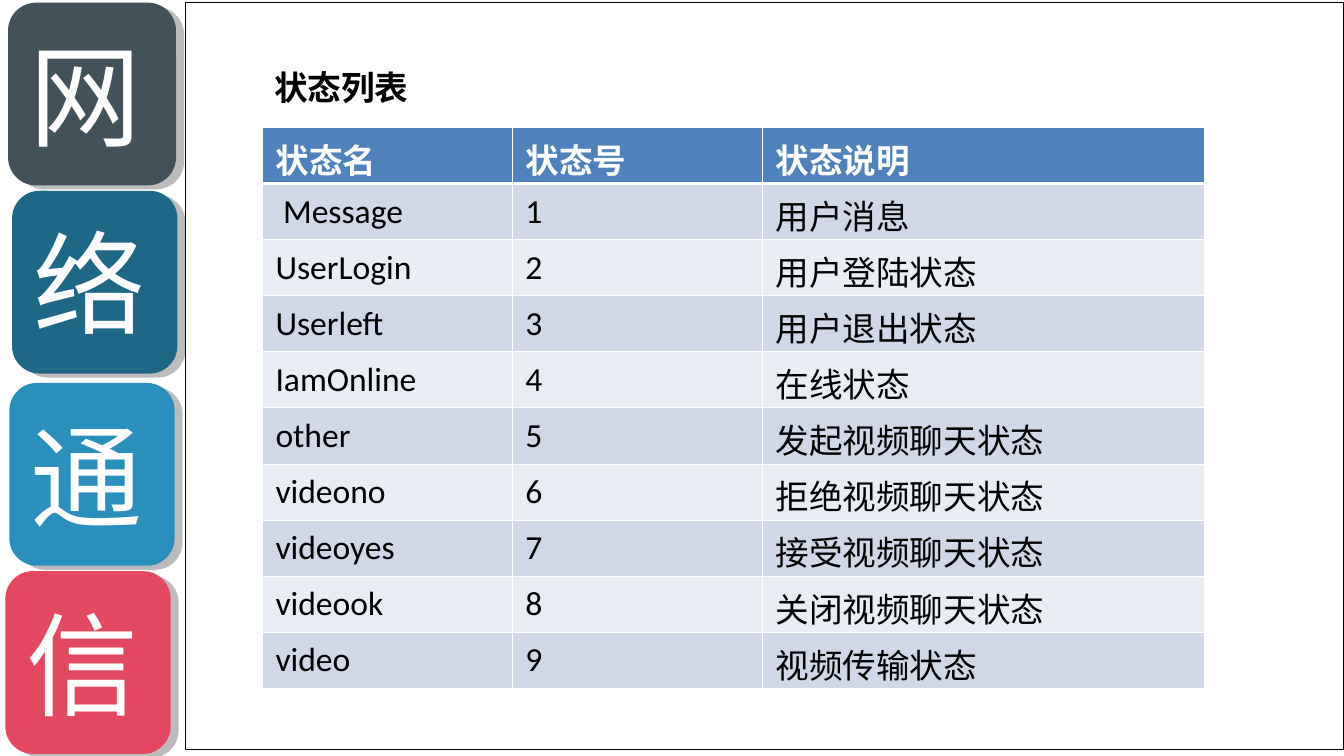
"""Build the slide that lists the network communication states."""
from lxml import etree
from pptx import Presentation
from pptx import util as u
from pptx.dml.color import RGBColor
from pptx.enum import shapes, text
from pptx.oxml.ns import qn

WHITE = RGBColor(0xFF, 0xFF, 0xFF)
BLACK = RGBColor(0, 0, 0)
SHADOW = RGBColor(0xBC, 0xBC, 0xBC)
HEADER = RGBColor(0x4F, 0x81, 0xBD)
BANDS = (RGBColor(0xE9, 0xED, 0xF4), RGBColor(0xD0, 0xD8, 0xE8))

TITLE = "状态列表"
BLOCKS = [
    ("网", 0.06, 0.02, 1.25, RGBColor(0x43, 0x52, 0x58)),
    ("络", 0.09, 1.42, 1.23, RGBColor(0x1E, 0x67, 0x87)),
    ("通", 0.07, 2.85, 1.23, RGBColor(0x2A, 0x8F, 0xBD)),
    ("信", 0.04, 4.25, 1.23, RGBColor(0xE4, 0x48, 0x60)),
]
ROWS = [
    ("状态名", "状态号", "状态说明"),
    (" Message", "1", "用户消息"),
    ("UserLogin", "2", "用户登陆状态"),
    ("Userleft", "3", "用户退出状态"),
    ("IamOnline", "4", "在线状态"),
    ("other", "5", "发起视频聊天状态"),
    ("videono", "6", "拒绝视频聊天状态"),
    ("videoyes", "7", "接受视频聊天状态"),
    ("videook", "8", "关闭视频聊天状态"),
    ("video", "9", "视频传输状态"),
]
COLUMNS = (1.86, 1.86, 3.29)
SLIDE_WIDTH = 10
TABLE_HEIGHT = 4.17
BLOCK_HEIGHT = 1.36
SHADOW_DX, SHADOW_DY = 0.06, 0.03


def inches(*values):
    return [u.Inches(v) for v in values]


def add_text(tf, words, size, font, color, bold=False):
    p = tf.paragraphs[0]
    p.alignment = text.PP_ALIGN.LEFT
    r = p.add_run()
    r.text = words
    r.font.size, r.font.name, r.font.bold = u.Pt(size), font, bold
    r.font.color.rgb = color
    return r


def add_box(slide, kind, box, fill):
    sp = slide.shapes.add_shape(kind, *inches(*box))
    sp.shadow.inherit = False
    sp.fill.solid()
    sp.fill.fore_color.rgb = fill
    sp.line.fill.background()
    return sp


def add_block(slide, word, left, top, width, color):
    kind = shapes.MSO_SHAPE.ROUNDED_RECTANGLE
    add_box(slide, kind, (left + SHADOW_DX, top + SHADOW_DY, width, BLOCK_HEIGHT), SHADOW)
    sp = add_box(slide, kind, (left, top, width, BLOCK_HEIGHT), color)
    sp.text_frame.vertical_anchor = text.MSO_ANCHOR.MIDDLE
    r = add_text(sp.text_frame, word, 60, "Noto Sans CJK SC", WHITE)
    etree.SubElement(r.font._element, qn("a:ea"), typeface="Noto Sans CJK SC")


def add_border(cell, side, width):
    ln = etree.SubElement(cell._tc.get_or_add_tcPr(), qn("a:ln" + side), w=str(u.Pt(width)))
    fill = etree.SubElement(ln, qn("a:solidFill"))
    etree.SubElement(fill, qn("a:srgbClr"), val=str(WHITE))


def add_states(slide):
    box = inches(1.95, 0.95, sum(COLUMNS), TABLE_HEIGHT)
    table = slide.shapes.add_table(len(ROWS), len(COLUMNS), *box).table
    table.first_row = table.horz_banding = False
    for column, width in zip(table.columns, COLUMNS):
        column.width = u.Inches(width)
    for i, row in enumerate(ROWS):
        table.rows[i].height = u.Inches(TABLE_HEIGHT / len(ROWS))
        for j, words in enumerate(row):
            cell = table.cell(i, j)
            for side in "LRTB":
                add_border(cell, side, 1.47 if (i, side) in ((0, "B"), (1, "T")) else 0.45)
            cell.fill.solid()
            cell.fill.fore_color.rgb = BANDS[i % 2] if i else HEADER
            cell.vertical_anchor = text.MSO_ANCHOR.MIDDLE
            cell.margin_bottom = u.Inches(0.05 if words.isascii() else 0)
            add_text(cell.text_frame, words, 18, "Calibri", BLACK if i else WHITE, i == 0)


def main():
    prs = Presentation()
    prs.slide_width, prs.slide_height = inches(SLIDE_WIDTH, SLIDE_WIDTH * 9 / 16)
    slide = prs.slides.add_slide(prs.slide_layouts[5])
    for block in BLOCKS:
        add_block(slide, *block)
    panel = add_box(slide, shapes.MSO_SHAPE.RECTANGLE, (1.38, 0.02, 8.62, 5.56), WHITE)
    panel.line.color.rgb = BLACK
    panel.line.width = u.Pt(0.75)

    title = slide.shapes.title
    title.left, title.top, title.width, title.height = inches(1.94, 0.45, 3.27, 0.4)
    title.text_frame.vertical_anchor = text.MSO_ANCHOR.TOP
    title.text_frame.auto_size = text.MSO_AUTO_SIZE.NONE
    add_text(title.text_frame, TITLE, 18, "Arial", BLACK, True)
    panel._element.addnext(title._element)

    add_states(slide)
    prs.save("out.pptx")


if __name__ == "__main__":
    main()
